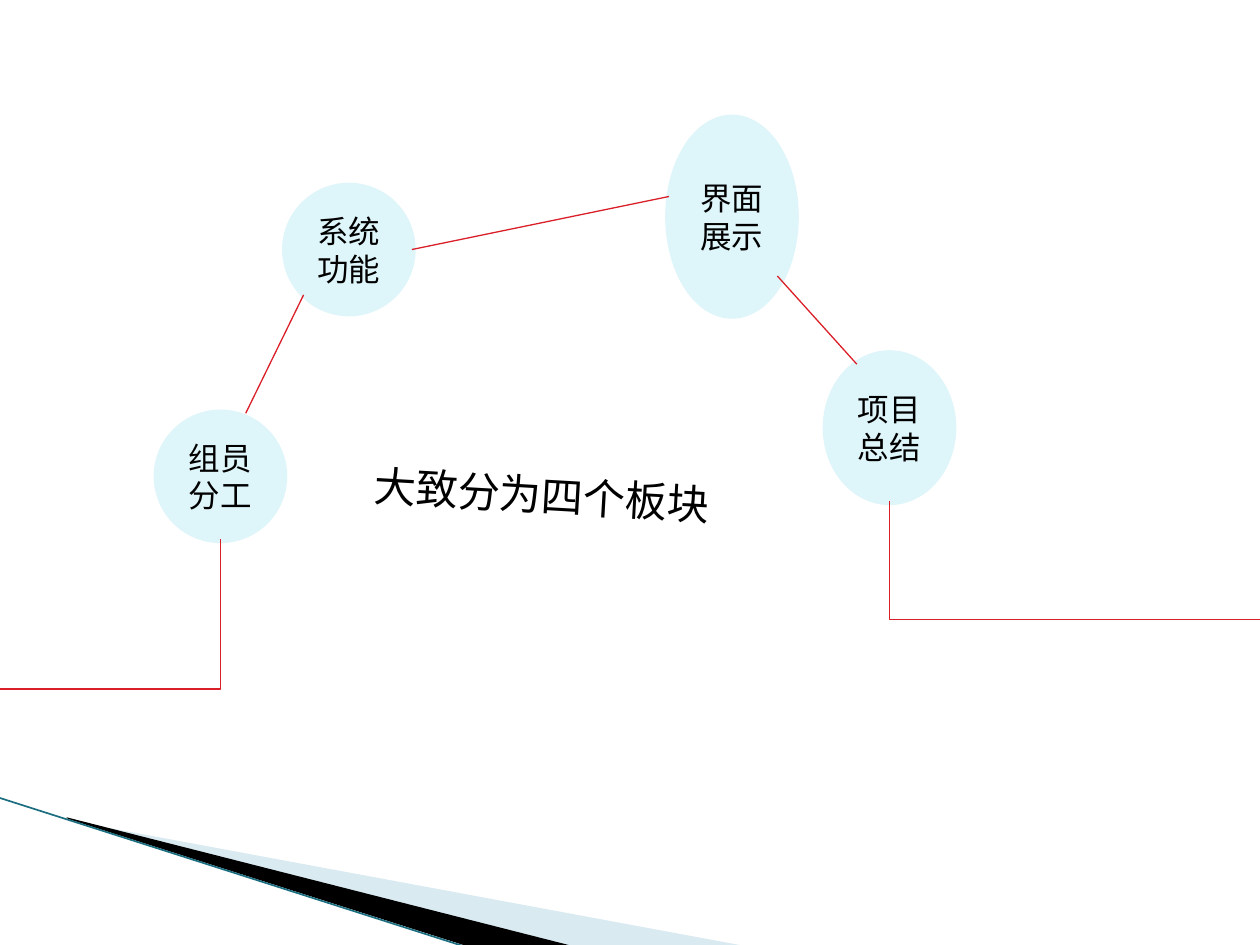
import pptx
import pptx.dml.color
import pptx.enum.shapes
import pptx.enum.text
import pptx.oxml
import pptx.oxml.ns
import pptx.util

Pt = pptx.util.Pt
CONNECTOR = pptx.enum.shapes.MSO_CONNECTOR
FONT = "Noto Sans Mono"
BLACK, BUBBLE, RED, TEAL, PALE = "000000", "DEF5FA", "DA1F28", "1B6E80", "A0CBDC"

# Corner points, colour, opacity in percent
WEDGES = [
    ([(39.6, 468.7), (428.4, 540.7), (328.3, 540.7), (39.6, 468)], PALE, 40),
    ([(38.2, 467.3), (329, 540.7), (267.8, 541.4), (38.9, 468)], BLACK, 100),
]
EDGE = (-0.7, 455.8, 267.1, 541.4)

BUBBLE_WIDTH = 72
# Text, left, top, height
BUBBLES = [
    ("组员分工", 90, 236.2, 72),
    ("系统功能", 163.4, 106.6, 72),
    ("界面展示", 382.3, 67.7, 112.3),
    ("项目总结", 472.3, 202.3, 84.2),
]
LINKS = [
    (235.4, 142.6, 382.3, 112.3),
    (140.4, 236.2, 173.5, 168.5),
    (444.2, 157.7, 489.6, 208.1),
]
# Start x, start y, end x, end y: down first, then sideways
ELBOWS = [(126, 308.2, -16.6, 393.8), (508.3, 286.5, 720, 354.2)]
CAPTION = ("大致分为四个板块", 206.6, 265.7, 244.1, 36)


def color(value):
    return pptx.dml.color.RGBColor.from_string(value)


def child(parent, tag, **attributes):
    element = pptx.oxml.parse_xml(f"<a:{tag} {pptx.oxml.ns.nsdecls('a')}/>")
    for key, value in attributes.items():
        element.set(key, value)
    parent.append(element)


def write(shape, text, size, align, anchor):
    frame = shape.text_frame
    frame.word_wrap = True
    frame.vertical_anchor = anchor
    para = frame.paragraphs[0]
    para.alignment = align
    span = para.add_run()
    span.text = text
    span.font.size = Pt(size)
    span.font.name = FONT
    span.font.color.rgb = color(BLACK)
    child(span.font._element, "ea", typeface=FONT)


def connect(page, ends, line_color, width=0.75, kind=CONNECTOR.STRAIGHT):
    line = page.shapes.add_connector(kind, *map(Pt, ends))
    line.line.color.rgb = color(line_color)
    line.line.width = Pt(width)
    child(line._element.spPr, "effectLst")
    return line


def add_elbow(page, x1, y1, x2, y2):
    """Draw a single-bend connector as a box turned a quarter about its centre."""
    across, down = abs(x2 - x1), abs(y2 - y1)
    left, top = (x1 + x2 - down) / 2, (y1 + y2 - across) / 2
    elbow = connect(page, (left, top, left + down, top + across), RED, kind=CONNECTOR.ELBOW)
    properties = elbow._element.spPr
    properties.prstGeom.set("prst", "bentConnector2")
    to_right = x2 > x1
    properties.xfrm.set("rot", str((270 if to_right else 90) * 60000))
    if to_right:
        properties.xfrm.set("flipH", "1")


def add_wedge(page, points, fill, opacity):
    builder = page.shapes.build_freeform(*points[0], scale=Pt(1))
    builder.add_line_segments(points[1:], close=True)
    wedge = builder.convert_to_shape()
    wedge.shadow.inherit = False
    wedge.fill.solid()
    wedge.fill.fore_color.rgb = color(fill)
    wedge.line.fill.background()
    if opacity < 100:
        fill_color = wedge._element.spPr.find(".//" + pptx.oxml.ns.qn("a:srgbClr"))
        child(fill_color, "alpha", val=str(opacity * 1000))


def add_bubble(page, text, left, top, height):
    bubble = page.shapes.add_shape(
        pptx.enum.shapes.MSO_SHAPE.OVAL, Pt(left), Pt(top), Pt(BUBBLE_WIDTH), Pt(height))
    bubble.shadow.inherit = False
    bubble.fill.solid()
    bubble.fill.fore_color.rgb = color(BUBBLE)
    bubble.line.color.rgb = color(BUBBLE)
    bubble.line.width = Pt(4.33)
    write(bubble, text, size=18, align=pptx.enum.text.PP_ALIGN.CENTER,
          anchor=pptx.enum.text.MSO_ANCHOR.MIDDLE)


def main():
    deck = pptx.Presentation()
    deck.slide_width, deck.slide_height = Pt(720), Pt(540)
    page = deck.slides.add_slide(deck.slide_layouts[6])

    for wedge in WEDGES:
        add_wedge(page, *wedge)
    connect(page, EDGE, TEAL, width=0.95)
    for bubble in BUBBLES:
        add_bubble(page, *bubble)
    for link in LINKS:
        connect(page, link, RED)
    for elbow in ELBOWS:
        add_elbow(page, *elbow)

    text, *place = CAPTION
    caption = page.shapes.add_textbox(*map(Pt, place))
    caption.rotation = 3.3
    write(caption, text, size=24, align=pptx.enum.text.PP_ALIGN.LEFT,
          anchor=pptx.enum.text.MSO_ANCHOR.TOP)
    deck.save("out.pptx")


if __name__ == "__main__":
    main()
